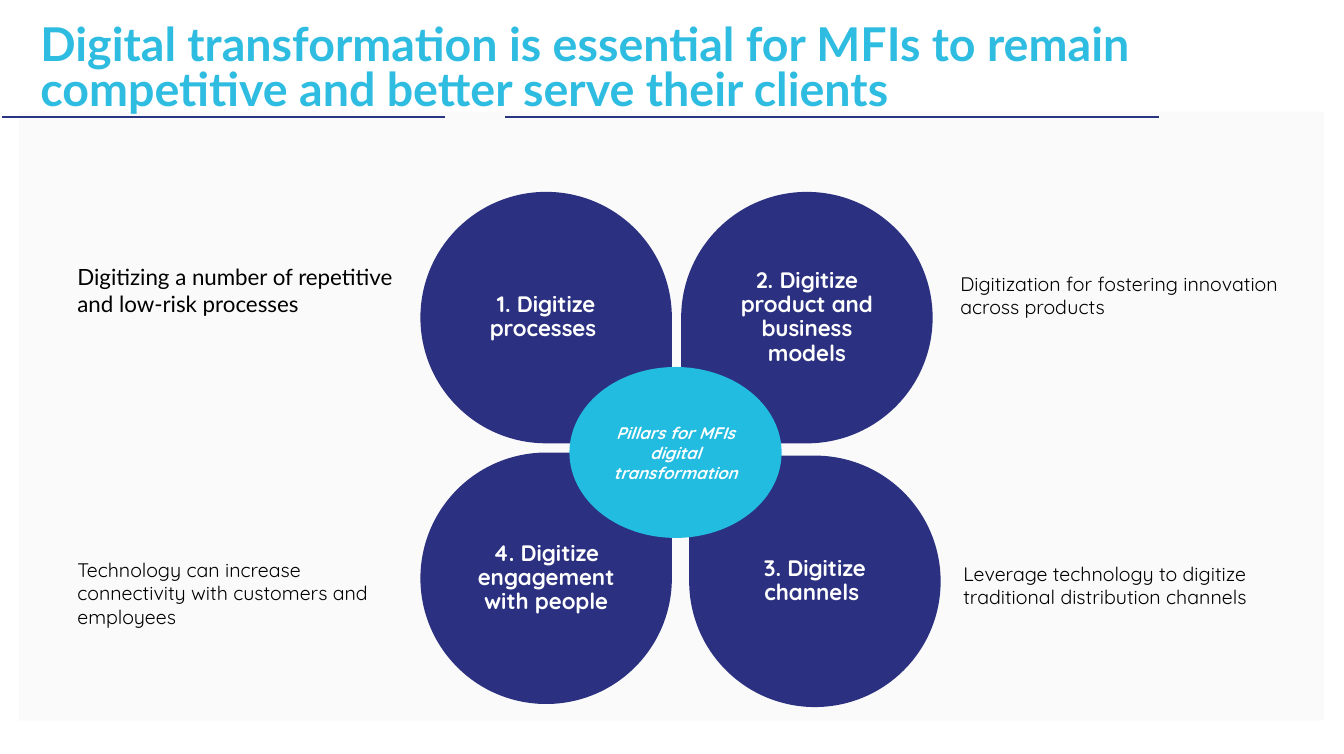
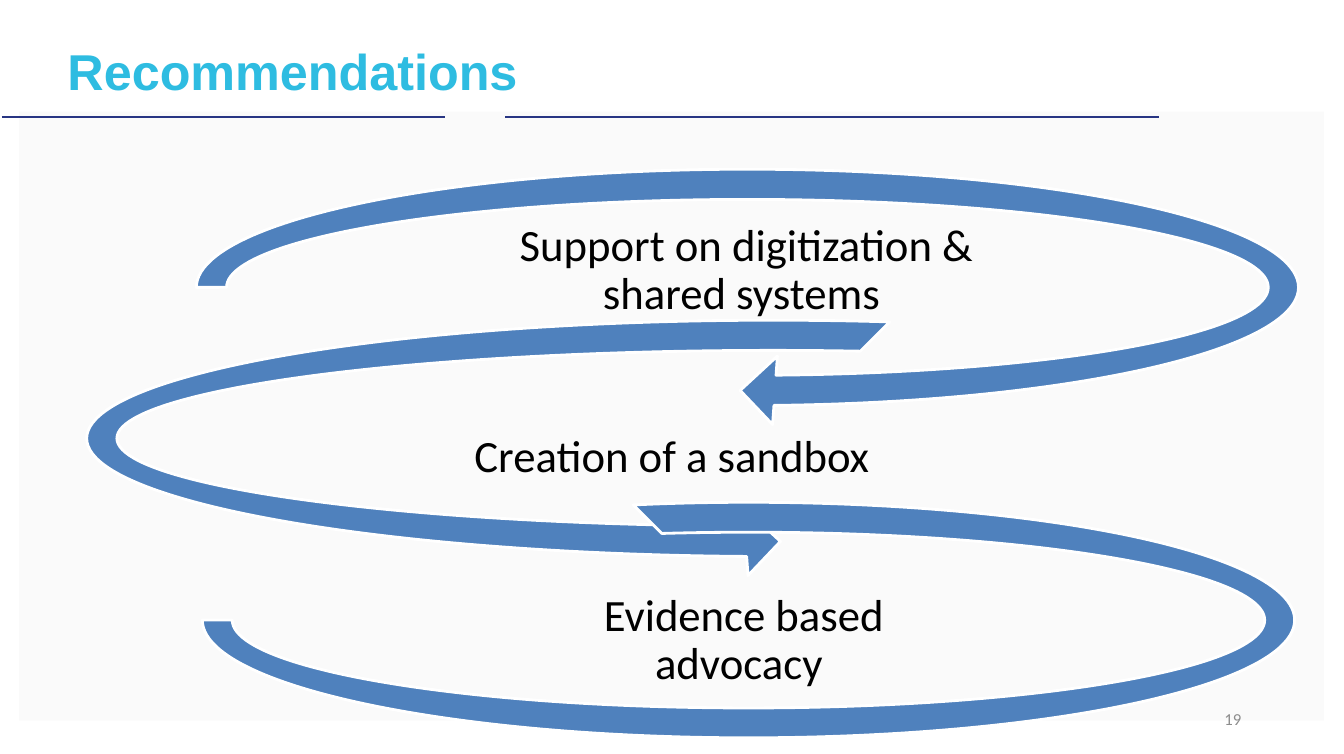
from lxml import etree
from pptx import Presentation
from pptx.dml.color import RGBColor
from pptx.enum import shapes, text
from pptx.oxml import ns
from pptx.util import Inches, Pt

NAVY, PETAL, CYAN, BLUE = "283583", "2B3180", "2EBCE1", "4F81BD"
WHITE, BLACK = "FFFFFF", "000000"
KIND = shapes.MSO_SHAPE
ALIGN = text.PP_ALIGN
MID = text.MSO_ANCHOR.MIDDLE


def rgb(code):
    return RGBColor.from_string(code)


def sub(node, tag, **attrs):
    return etree.SubElement(node, ns.qn(tag), attrs)


def write(shape, words, size, face, color, pad=None, anchor=None, para=None, **font):
    """Put one formatted paragraph in a shape."""
    frame = shape.text_frame
    frame.auto_size = text.MSO_AUTO_SIZE.NONE
    frame.word_wrap = True
    if anchor is not None:
        frame.vertical_anchor = anchor
    if pad is not None:
        for side in ("left", "top", "right", "bottom"):
            setattr(frame, "margin_" + side, Inches(pad))
    line = frame.paragraphs[0]
    for key, val in (para or {}).items():
        setattr(line, key, val)
    run = line.add_run()
    run.text = words
    run.font.color.rgb = rgb(color)
    for key, val in {"size": Pt(size), "name": face, **font}.items():
        setattr(run.font, key, val)


def label(slide, box, words, size, face, color=BLACK, **style):
    write(slide.shapes.add_textbox(*map(Inches, box)), words, size, face, color, **style)


def solid(slide, kind, box, fill, edge=None, turn=0, adj=()):
    shape = slide.shapes.add_shape(kind, *map(Inches, box))
    shape.shadow.inherit = False
    shape.fill.solid()
    shape.fill.fore_color.rgb = rgb(fill)
    if edge:
        shape.line.color.rgb = rgb(edge)
        shape.line.width = Pt(2)
    else:
        shape.line.fill.background()
    shape.rotation = turn
    for i, val in enumerate(adj):
        shape.adjustments[i] = val
    return shape


def rule(slide, left, right, top):
    line = slide.shapes.add_connector(
        shapes.MSO_CONNECTOR.STRAIGHT, *map(Inches, (left, top, right, top)))
    line.line.color.rgb = rgb(NAVY)
    line.line.width = Pt(1.5)
    sub(line._element.spPr, "a:effectLst")
    return line


def dress(slide):
    """Move the shared band and rules onto the slide's layout."""
    band = solid(slide, KIND.RECTANGLE, (0.19, 1.11, 12.96, 6.05), "F6F6F6")
    tint = band._element.spPr.find(ns.qn("a:solidFill"))[0]
    sub(tint, "a:alpha", val="50000")
    parts = [band, rule(slide, 0.02, 4.42, 1.16), rule(slide, 5.02, 11.51, 1.16)]
    for part in parts:
        slide.slide_layout.shapes._spTree.append(part._element)


def title(slide, left, words, size, face, space):
    head = slide.shapes.title
    place = {"left": left, "top": 0.24, "width": 11.51 - left, "height": 0.92}
    for key, val in place.items():
        setattr(head, key, Inches(val))
    write(head, words, size, face, CYAN, pad=0, anchor=MID, bold=True,
          para={"alignment": ALIGN.LEFT, "line_spacing": space})


def pillars(slide):
    title(slide, 0.4, "Digital transformation is essential for MFIs to remain "
          "competitive and better serve their clients", 33.3, "Lato", 0.8)
    center = {"alignment": ALIGN.CENTER}

    # Petals, clockwise from top left
    petals = [
        (4.19, 1.92, 90, "1. Digitize processes "),
        (6.78, 1.92, 180, "2. Digitize product and business models"),
        (6.86, 4.54, 270, "3. Digitize channels "),
        (4.19, 4.51, 0, "4. Digitize engagement with people"),
    ]
    size, inset = 2.47, 0.36
    for left, top, turn, words in petals:
        solid(slide, KIND.TEAR, (left, top, size, size), PETAL, PETAL, turn)
        inner = size - 2 * inset
        label(slide, (left + inset, top + inset, inner, inner), words, 16,
              "Quicksand", WHITE, pad=0.12, anchor=MID, bold=True,
              para={**center, "line_spacing": 0.9})

    # Hub
    hub = solid(slide, KIND.OVAL, (5.67, 3.66, 2.08, 1.67), "23BCE1", "23BCE1")
    write(hub, "Pillars for MFIs digital transformation", 12, "Quicksand", WHITE,
          anchor=MID, bold=True, italic=True, para=center)

    # Side notes
    notes = [
        ((0.67, 2.57, 3.71, 0.64), 16, "Lato",
         "Digitizing a number of repetitive and low-risk processes"),
        ((9.44, 2.65, 3.55, 0.57), 14, "Quicksand",
         "Digitization for fostering innovation across products"),
        ((9.47, 5.53, 3.52, 0.57), 14, "Quicksand",
         "Leverage technology to digitize traditional distribution channels"),
        ((0.67, 5.49, 3.52, 0.81), 14, "Quicksand",
         "Technology can increase connectivity with customers and employees"),
    ]
    for box, points, face, words in notes:
        label(slide, box, words, points, face)


def advice(slide):
    title(slide, 0.67, "Recommendations", 36, "Arial", 1.0)

    # Winding arrows, each with its label
    loops = [
        (KIND.CIRCULAR_ARROW, (1.76, 1.49, 11.33, 2.73),
         (0.11, 11.423, 45, 108, 0.125),
         (4.92, 1.91, 4.99, 1.56), "Support on digitization & shared systems "),
        (KIND.LEFT_CIRCULAR_ARROW, (0.67, 2.99, 14.02, 2.73),
         (0.11, 11.423, 63, 189, 0.125),
         (4.57, 3.99, 4.21, 1.12), "Creation of a sandbox"),
        (KIND.BLOCK_ARC, (2.01, 4.99, 10.85, 2.34), (135, 108, 0.127),
         (5.67, 5.8, 3.44, 1.13), "Evidence based advocacy "),
    ]
    for kind, box, adj, spot, words in loops:
        solid(slide, kind, box, BLUE, WHITE, adj=adj)
        label(slide, spot, words, 32, "Calibri", pad=0.02, anchor=MID,
              para={"alignment": ALIGN.CENTER, "line_spacing": 0.9})

    # Page number
    label(slide, (9.43, 6.94, 3, 0.4), "19", 12, "Calibri", "8C8C8C",
          anchor=MID, para={"alignment": ALIGN.RIGHT})


def main():
    deck = Presentation()
    deck.slide_width, deck.slide_height = Inches(13.35), Inches(7.49)
    layout = deck.slide_layouts[5]
    first, second = [deck.slides.add_slide(layout) for _ in range(2)]
    dress(first)
    pillars(first)
    advice(second)
    deck.save("out.pptx")


if __name__ == "__main__":
    main()
